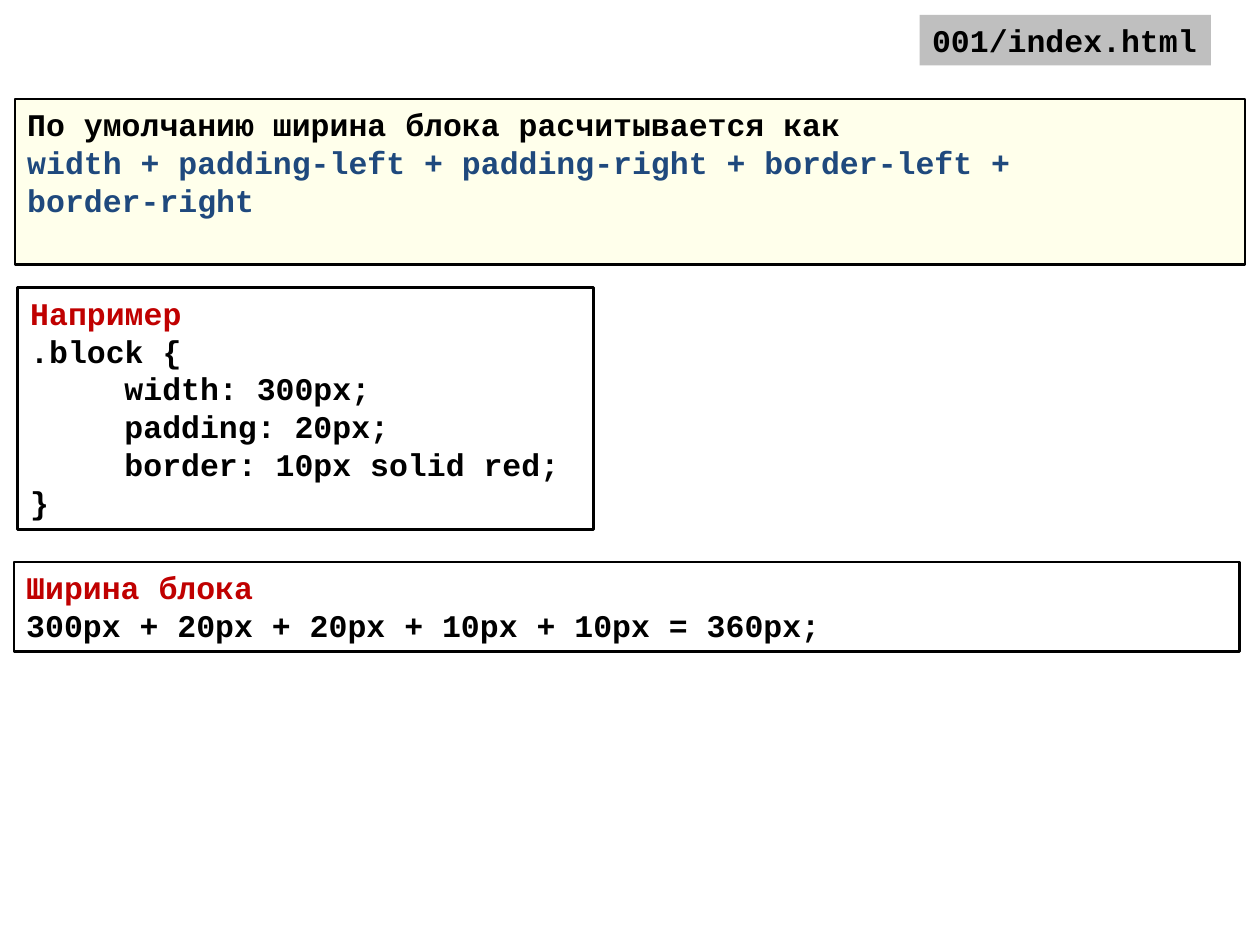
import pptx
import pptx.util
import pptx.dml.color
import pptx.enum.shapes
import pptx.enum.text
import pptx.oxml.ns
from lxml import etree
from pptx.util import Cm

BLACK, RED, BLUE = "000000", "C00000", "1F497D"
CODE_INDENT = Cm(1.9)


def color(hex_code):
    """Return the colour for a hex string."""
    return pptx.dml.color.RGBColor.from_string(hex_code)


def write(frame, text, first=False, ink=BLACK, indent=0, font="Courier New", size=18):
    """Write one bold paragraph into a text frame."""
    paragraph = frame.paragraphs[0] if first else frame.add_paragraph()
    paragraph.alignment = pptx.enum.text.PP_ALIGN.LEFT
    if indent:
        properties = paragraph._p.get_or_add_pPr()
        properties.set("marL", str(indent))
        properties.set("indent", "0")
    run = paragraph.add_run()
    run.text = text
    run.font.name = font
    run.font.size = pptx.util.Pt(size)
    run.font.bold = True
    run.font.color.rgb = color(ink)


deck = pptx.Presentation()
deck.slide_width, deck.slide_height = Cm(25.4), Cm(19.05)
slide = deck.slides.add_slide(deck.slide_layouts[6])

rule = [
    ("По умолчанию ширина блока расчитывается как", BLACK, 0),
    ("width + padding-left + padding-right + border-left +", BLUE, 0),
    ("border-right", BLUE, 0),
]
example = [
    ("Например", RED, 0),
    (".block {", BLACK, 0),
    ("width: 300px;", BLACK, CODE_INDENT),
    ("padding: 20px;", BLACK, CODE_INDENT),
    ("border: 10px solid red;", BLACK, CODE_INDENT),
    ("}", BLACK, 0),
]
result = [
    ("Ширина блока", RED, 0),
    ("300px + 20px + 20px + 10px + 10px = 360px;", BLACK, 0),
]
file_name = [("001/index.html", BLACK, 0)]

# left, top, width, height in cm; fill, fill opacity in percent, outlined, lines
panels = [
    (0.3, 2.0, 24.8, 3.33, "FFFF00", 8, True, rule),
    (0.36, 5.8, 11.61, 4.88, None, 100, True, example),
    (0.28, 11.33, 24.71, 1.8, None, 100, True, result),
    (18.54, 0.3, 5.87, 1.02, "BFBFBF", 100, False, file_name),
]

for left, top, width, height, fill, opacity, outlined, lines in panels:
    panel = slide.shapes.add_shape(
        pptx.enum.shapes.MSO_SHAPE.RECTANGLE, Cm(left), Cm(top), Cm(width), Cm(height))
    panel.shadow.inherit = False
    if fill:
        panel.fill.solid()
        panel.fill.fore_color.rgb = color(fill)
        if opacity < 100:
            tone = panel._element.spPr.find(".//" + pptx.oxml.ns.qn("a:srgbClr"))
            etree.SubElement(tone, pptx.oxml.ns.qn("a:alpha"), val=str(opacity * 1000))
    else:
        panel.fill.background()
    if outlined:
        panel.line.color.rgb = color(BLACK)
        panel.line.width = pptx.util.Pt(1.5)
    else:
        panel.line.fill.background()
    frame = panel.text_frame
    frame.word_wrap = True
    frame.vertical_anchor = pptx.enum.text.MSO_ANCHOR.TOP
    for number, (text, ink, indent) in enumerate(lines):
        write(frame, text, first=number == 0, ink=ink, indent=indent)

deck.save("out.pptx")
